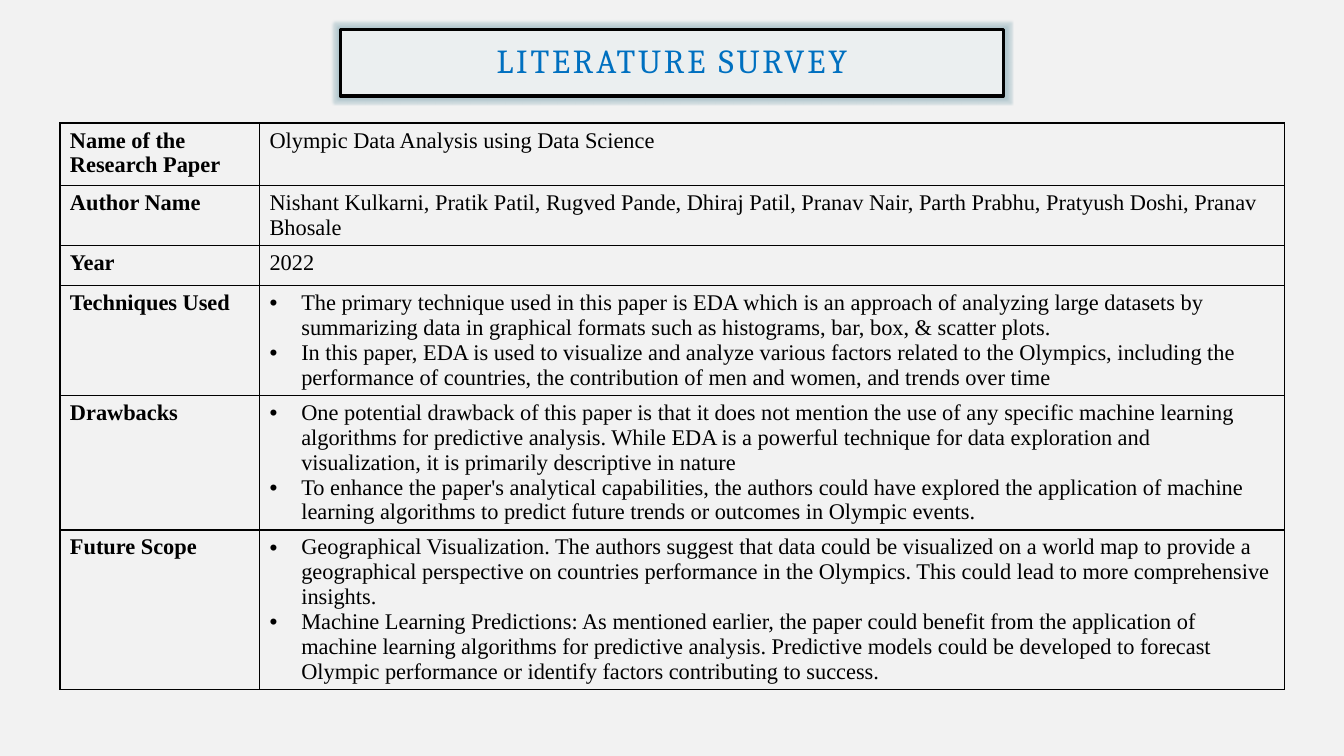
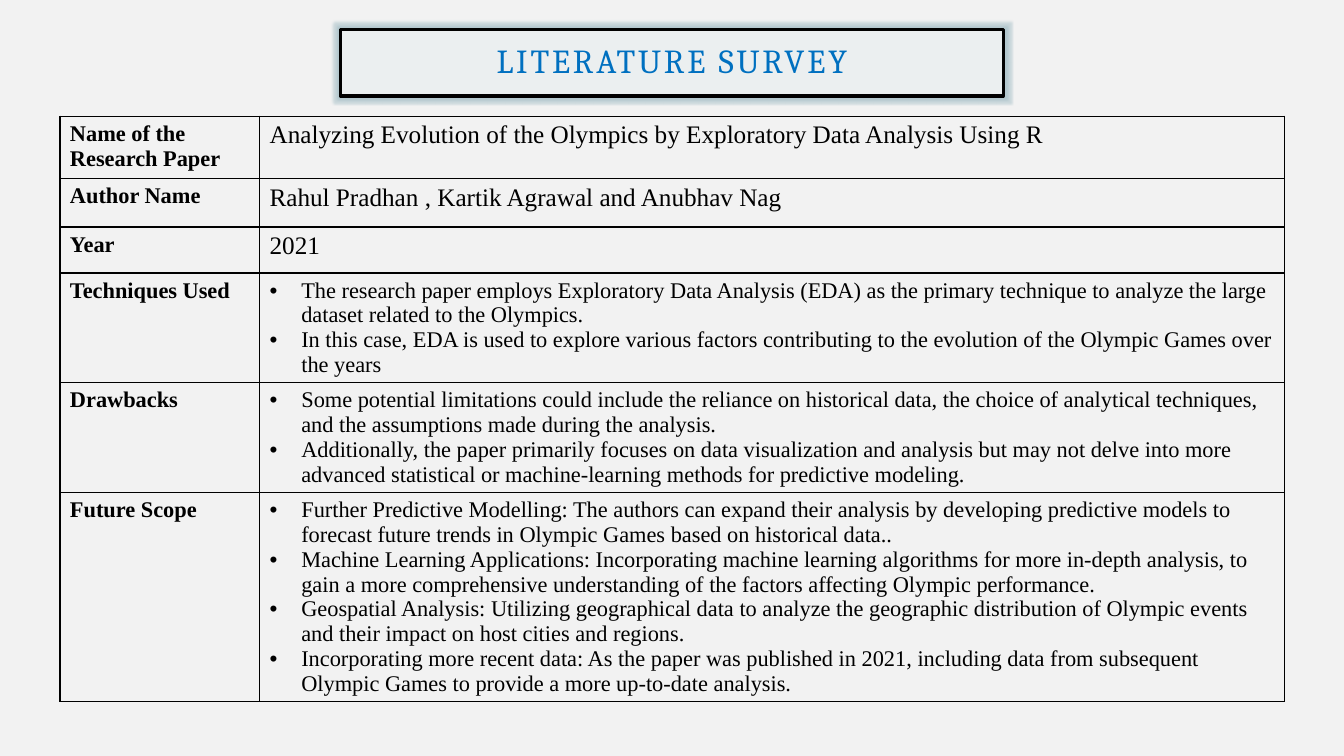
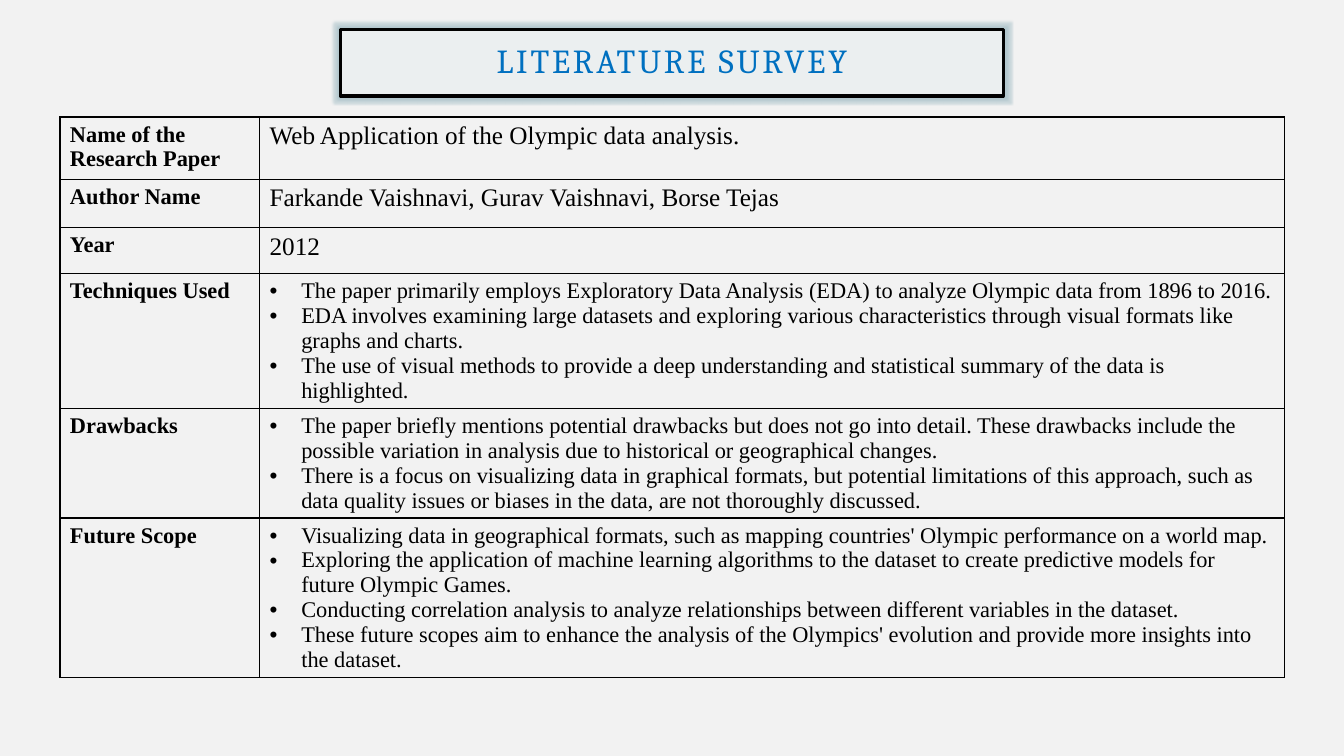
"""Builds three literature survey slides, each a framed title over a summary table."""
from lxml import etree
from pptx import Presentation
from pptx.dml.color import RGBColor
from pptx.enum.shapes import MSO_SHAPE
from pptx.enum.text import MSO_ANCHOR, PP_ALIGN
from pptx.oxml import parse_xml
from pptx.oxml.ns import nsdecls, qn
from pptx.util import Cm, Pt

BLACK = RGBColor(0x00, 0x00, 0x00)
BLUE = RGBColor(0x00, 0x70, 0xC0)
PANEL = RGBColor(0xEB, 0xEF, 0xF0)
PAPER = RGBColor(0xF2, 0xF2, 0xF2)
GLOW = RGBColor(0x8F, 0xB0, 0xBA)
LABELS = ["Name of the Research Paper", "Author Name", "Year",
          "Techniques Used", "Drawbacks", "Future Scope"]
COLUMNS = [5.03, 25.83]

SURVEYS = [
    {
        "top": 3.1,
        "size": 16,
        "rows": [1.57, 1.52, 1.01, 2.74, 3.37, 4],
        "entries": [
            "Olympic Data Analysis using Data Science",
            "Nishant Kulkarni, Pratik Patil, Rugved Pande, Dhiraj Patil, Pranav Nair, "
            "Parth Prabhu, Pratyush Doshi, Pranav Bhosale",
            "2022",
            ["The primary technique used in this paper is EDA which is an approach of "
             "analyzing large datasets by summarizing data in graphical formats such as "
             "histograms, bar, box, & scatter plots.",
             "In this paper, EDA is used to visualize and analyze various factors related to "
             "the Olympics, including the performance of countries, the contribution of men "
             "and women, and trends over time"],
            ["One potential drawback of this paper is that it does not mention the use of any "
             "specific machine learning algorithms for predictive analysis. While EDA is a "
             "powerful technique for data exploration and visualization, it is primarily "
             "descriptive in nature",
             "To enhance the paper's analytical capabilities, the authors could have explored "
             "the application of machine learning algorithms to predict future trends or "
             "outcomes in Olympic events."],
            ["Geographical Visualization. The authors suggest that data could be visualized on "
             "a world map to provide a geographical perspective on countries performance in "
             "the Olympics. This could lead to more comprehensive insights.",
             "Machine Learning Predictions: As mentioned earlier, the paper could benefit from "
             "the application of machine learning algorithms for predictive analysis. "
             "Predictive models could be developed to forecast Olympic performance or identify "
             "factors contributing to success."],
        ],
    },
    {
        "top": 2.93,
        "size": 18,
        "rows": [1.57, 1.22, 1.16, 2.74, 2.74, 5.25],
        "entries": [
            "Analyzing Evolution of the Olympics by Exploratory Data Analysis Using R",
            "Rahul Pradhan , Kartik Agrawal and Anubhav Nag",
            "2021",
            ["The research paper employs Exploratory Data Analysis (EDA) as the primary "
             "technique to analyze the large dataset related to the Olympics.",
             "In this case, EDA is used to explore various factors contributing to the "
             "evolution of the Olympic Games over the years"],
            ["Some potential limitations could include the reliance on historical data, the "
             "choice of analytical techniques, and the assumptions made during the analysis.",
             "Additionally, the paper primarily focuses on data visualization and analysis but "
             "may not delve into more advanced statistical or machine-learning methods for "
             "predictive modeling."],
            ["Further Predictive Modelling: The authors can expand their analysis by developing "
             "predictive models to forecast future trends in Olympic Games based on historical "
             "data..",
             "Machine Learning Applications: Incorporating machine learning algorithms for more "
             "in-depth analysis, to gain a more comprehensive understanding of the factors "
             "affecting Olympic performance.",
             "Geospatial Analysis: Utilizing geographical data to analyze the geographic "
             "distribution of Olympic events and their impact on host cities and regions.",
             "Incorporating more recent data: As the paper was published in 2021, including "
             "data from subsequent Olympic Games to provide a more up-to-date analysis."],
        ],
    },
    {
        "top": 2.95,
        "size": 18,
        "rows": [1.57, 1.22, 1.16, 3.37, 2.74, 4],
        "entries": [
            "Web Application of the Olympic data analysis.",
            "Farkande Vaishnavi, Gurav Vaishnavi, Borse Tejas",
            "2012",
            ["The paper primarily employs Exploratory Data Analysis (EDA) to analyze Olympic "
             "data from 1896 to 2016.",
             "EDA involves examining large datasets and exploring various characteristics "
             "through visual formats like graphs and charts.",
             "The use of visual methods to provide a deep understanding and statistical summary "
             "of the data is highlighted."],
            ["The paper briefly mentions potential drawbacks but does not go into detail. These "
             "drawbacks include the possible variation in analysis due to historical or "
             "geographical changes.",
             "There is a focus on visualizing data in graphical formats, but potential "
             "limitations of this approach, such as data quality issues or biases in the data, "
             "are not thoroughly discussed."],
            ["Visualizing data in geographical formats, such as mapping countries' Olympic "
             "performance on a world map.",
             "Exploring the application of machine learning algorithms to the dataset to create "
             "predictive models for future Olympic Games.",
             "Conducting correlation analysis to analyze relationships between different "
             "variables in the dataset.",
             "These future scopes aim to enhance the analysis of the Olympics' evolution and "
             "provide more insights into the dataset."],
        ],
    },
]


def add_text(tf, texts, size=16, font="Times New Roman", color=BLACK, bold=False,
             bullet=False, align=PP_ALIGN.LEFT, line=None, spacing=None):
    for i, text in enumerate(texts):
        p = tf.add_paragraph() if i else tf.paragraphs[0]
        p.alignment = align
        if line:
            p.line_spacing = line
        if bullet:
            pPr = p._p.get_or_add_pPr()
            pPr.set("marL", str(Cm(0.8)))
            pPr.set("indent", str(-Cm(0.8)))
            etree.SubElement(pPr, qn("a:buFont")).set("typeface", "Arial")
            etree.SubElement(pPr, qn("a:buChar")).set("char", "•")
        r = p.add_run()
        r.text = text
        r.font.size = Pt(size)
        r.font.name = font
        r.font.bold = bold
        r.font.color.rgb = color
        if spacing:
            r.font._element.set("spc", str(spacing * 100))


def fill_cell(cell, texts, **style):
    cell.fill.background()
    tcPr = cell._tc.get_or_add_tcPr()
    for i, side in enumerate(("lnL", "lnR", "lnT", "lnB")):
        tcPr.insert(i, parse_xml(
            f'<a:{side} {nsdecls("a")} w="{Pt(1)}"><a:solidFill>'
            f'<a:srgbClr val="{BLACK}"/></a:solidFill></a:{side}>'))
    add_text(cell.text_frame, texts, **style)


prs = Presentation()
prs.slide_width, prs.slide_height = Cm(33.87), Cm(19.05)
fill = prs.slide_master.background.fill
fill.solid()
fill.fore_color.rgb = PAPER

for survey in SURVEYS:
    s = prs.slides.add_slide(prs.slide_layouts[6])

    sp = s.shapes.add_shape(MSO_SHAPE.RECTANGLE, Cm(8.58), Cm(0.75), Cm(16.71), Cm(1.67))
    sp.fill.solid()
    sp.fill.fore_color.rgb = PANEL
    sp.line.color.rgb = BLACK
    sp.line.width = Pt(2.25)
    sp.shadow.inherit = False
    sp._element.spPr.find(qn("a:effectLst")).append(parse_xml(
        f'<a:glow {nsdecls("a")} rad="{Pt(3)}"><a:srgbClr val="{GLOW}">'
        '<a:alpha val="40000"/></a:srgbClr></a:glow>'))
    tf = sp.text_frame
    tf.word_wrap = True
    tf.vertical_anchor = MSO_ANCHOR.MIDDLE
    tf.margin_left = tf.margin_right = tf.margin_top = tf.margin_bottom = Cm(0.5)
    add_text(tf, ["LITERATURE SURVEY"], size=24, font="Cambria", color=BLUE,
             align=PP_ALIGN.CENTER, line=0.9, spacing=2)

    table = s.shapes.add_table(len(LABELS), 2, Cm(1.51), Cm(survey["top"]),
                               Cm(sum(COLUMNS)), Cm(sum(survey["rows"]))).table
    table.first_row = table.horz_banding = False
    for column, width in zip(table.columns, COLUMNS):
        column.width = Cm(width)
    for row, height, label, entry in zip(table.rows, survey["rows"], LABELS, survey["entries"]):
        row.height = Cm(height)
        fill_cell(row.cells[0], [label], bold=True)
        if isinstance(entry, list):
            row.cells[1].margin_right = Cm(0.28)
            fill_cell(row.cells[1], entry, bullet=True)
        else:
            fill_cell(row.cells[1], [entry], size=survey["size"])

prs.save("out.pptx")
